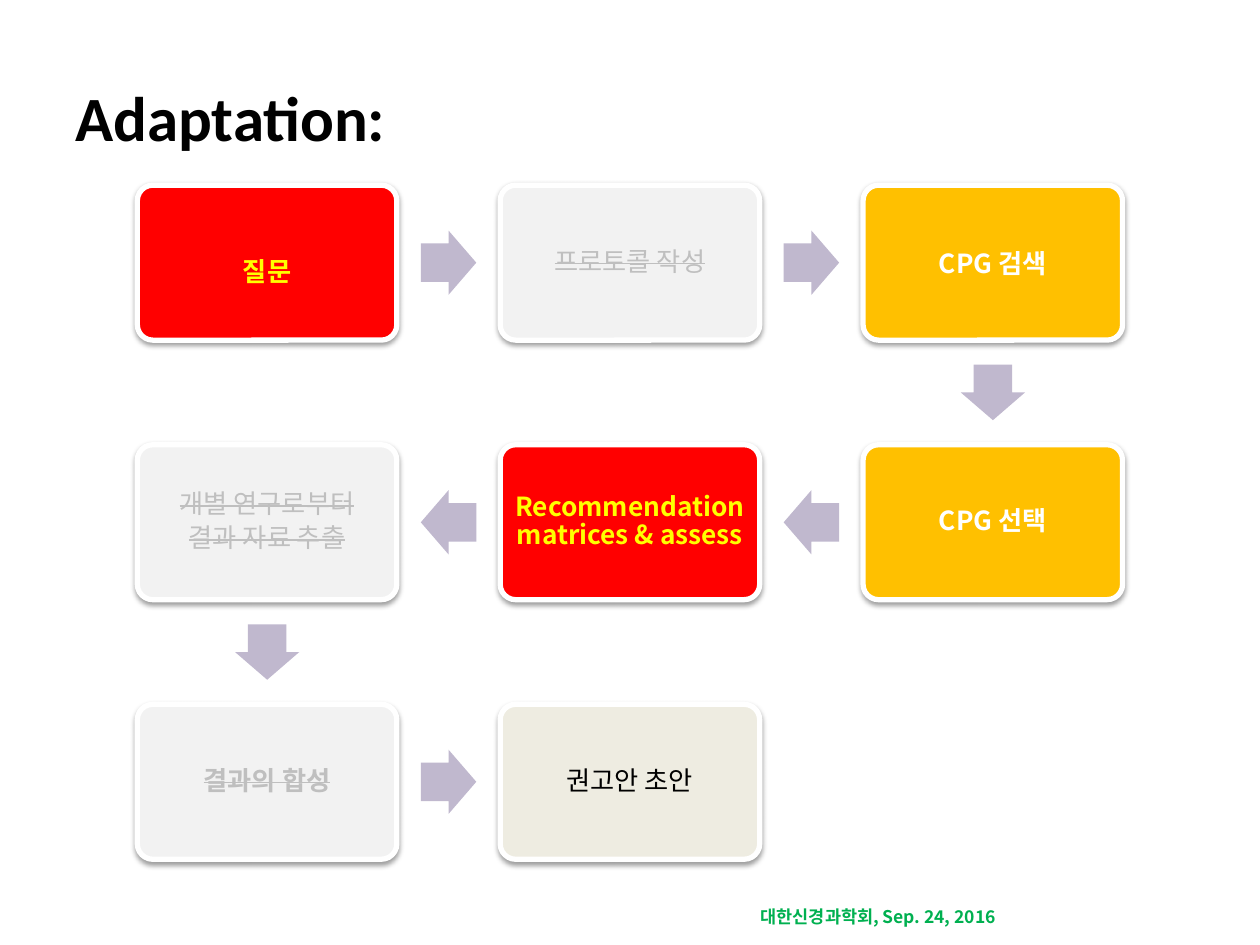
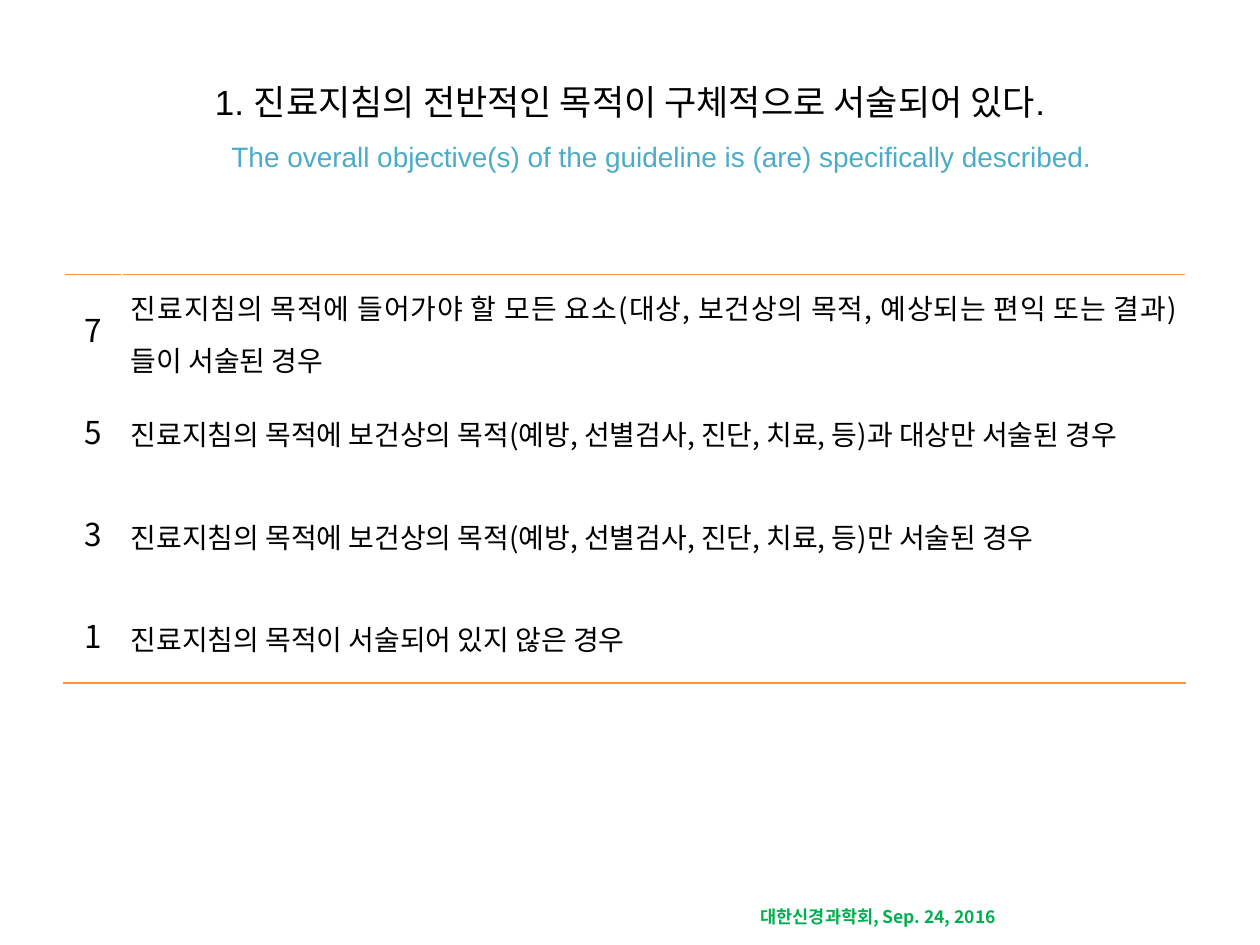
from lxml import etree
from pptx import Presentation
from pptx.dml.color import RGBColor
from pptx.enum.shapes import MSO_SHAPE as Shape
from pptx.enum.text import MSO_ANCHOR as Anchor, PP_ALIGN as Align
from pptx.oxml import parse_xml
from pptx.oxml.ns import nsdecls, qn
from pptx.util import Inches, Pt

COLORS = {
    "black": "000000", "white": "FFFFFF", "green": "00B050", "red": "FF0000",
    "yellow": "FFFF00", "gold": "FFC000", "pale": "F2F2F2", "gray": "BFBFBF",
    "cream": "EEECE1", "lilac": "C0B8CE", "teal": "4BACC6", "orange": "F79646",
}
KOREAN_FONT = "Noto Sans CJK KR"
FOOTER = "대한신경과학회, Sep. 24, 2016"
FOOTER_AREA = (5.94, 7.14, 2.44, 0.27)
TITLE_AREA = (0.5, 0.3, 9, 1.25)

FLOW_TITLE = "Adaptation:"
STYLES = {
    "key": {"fill": "red", "color": "yellow", "bold": True},
    "guideline": {"fill": "gold", "color": "white", "bold": True},
    "skipped": {"fill": "pale", "color": "gray", "strike": True},
    "draft": {"fill": "cream", "color": "black"},
}
# (column, row), lines, style, format that differs from the style
STEPS = [
    ((0, 0), ["질문"], "key", {"line_spacing": 1.5}),
    ((1, 0), ["프로토콜 작성"], "skipped", {}),
    ((2, 0), ["CPG 검색"], "guideline", {"line_spacing": 1, "space_after": 0}),
    ((2, 1), ["CPG 선택"], "guideline", {}),
    ((1, 1), ["Recommendation matrices & assess"], "key", {}),
    ((0, 1), ["개별 연구로부터", "결과 자료 추출"], "skipped", {}),
    ((0, 2), ["결과의 합성"], "skipped", {"bold": True}),
    ((1, 2), ["권고안 초안"], "draft", {}),
]
BOX_LEFT, BOX_TOP, BOX_WIDTH, BOX_HEIGHT = 1.09, 1.47, 2.06, 1.23
COLUMN_PITCH, ROW_PITCH = 2.88, 2.06
ARROW_WIDTH, ARROW_HEIGHT = 0.44, 0.51
ROTATIONS = {(1, 0): 0, (0, 1): 90, (-1, 0): 180}

ITEM_TITLE = "1. 진료지침의 전반적인 목적이 구체적으로 서술되어 있다."
ITEM_SUBTITLE = "The overall objective(s) of the guideline is (are) specifically described."
SCORES = [
    ("7", "진료지침의 목적에 들어가야 할 모든 요소(대상, 보건상의 목적, 예상되는 편익 또는 결과)들이 서술된 경우"),
    ("5", "진료지침의 목적에 보건상의 목적(예방, 선별검사, 진단, 치료, 등)과 대상만 서술된 경우"),
    ("3", "진료지침의 목적에 보건상의 목적(예방, 선별검사, 진단, 치료, 등)만 서술된 경우"),
    ("1", "진료지침의 목적이 서술되어 있지 않은 경우"),
]
SCORE_COLUMNS = (0.46, 8.44)
SCORE_ROW_HEIGHT = 0.81


def rgb(name):
    return RGBColor.from_string(COLORS[name])


def add_run(paragraph, text, size, font=KOREAN_FONT, color="black", bold=False, strike=False):
    run = paragraph.add_run()
    run.text = text
    run.font.size = Pt(size)
    run.font.name = font
    run.font.bold = bold
    run.font.color.rgb = rgb(color)
    properties = run.font._element
    etree.SubElement(properties, qn("a:ea")).set("typeface", KOREAN_FONT)
    if strike:
        properties.set("strike", "sngStrike")


def write_text(frame, lines, align=Align.LEFT, line_spacing=1, space_before=0,
               space_after=0, **run_format):
    """Write one paragraph per line and return the last paragraph."""
    frame.word_wrap = True
    for index, line in enumerate(lines):
        paragraph = frame.add_paragraph() if index else frame.paragraphs[0]
        paragraph.alignment = align
        paragraph.line_spacing = line_spacing
        paragraph.space_before = Pt(space_before)
        paragraph.space_after = Pt(space_after)
        add_run(paragraph, line, **run_format)
    return paragraph


def add_text(slide, area, text, anchor=Anchor.TOP, **text_format):
    frame = slide.shapes.add_textbox(*map(Inches, area)).text_frame
    frame.vertical_anchor = anchor
    return write_text(frame, [text], **text_format)


def add_slide(presentation):
    slide = presentation.slides.add_slide(presentation.slide_layouts[6])
    add_text(slide, FOOTER_AREA, FOOTER, size=10, color="green", bold=True)
    return slide


def add_filled_shape(slide, kind, area, fill, adjustments):
    shape = slide.shapes.add_shape(kind, *map(Inches, area))
    shape.shadow.inherit = False
    shape.fill.solid()
    shape.fill.fore_color.rgb = rgb(fill)
    shape.line.fill.background()
    for index, value in enumerate(adjustments):
        shape.adjustments[index] = value
    return shape


def add_step(slide, cell, lines, style, extra):
    column, row = cell
    area = (BOX_LEFT + column * COLUMN_PITCH, BOX_TOP + row * ROW_PITCH, BOX_WIDTH, BOX_HEIGHT)
    text_format = {"line_spacing": 0.9, "space_after": 3, **STYLES[style], **extra}
    box = add_filled_shape(slide, Shape.ROUNDED_RECTANGLE, area, text_format.pop("fill"), [0.1])
    box.line.color.rgb = rgb("white")
    box.line.width = Pt(3)
    effects = box._element.spPr.find(qn("a:effectLst"))
    effects.append(parse_xml(
        f'<a:outerShdw {nsdecls("a")} blurRad="{Pt(3.1)}" dist="{Pt(1.6)}" dir="5400000" '
        f'rotWithShape="0"><a:srgbClr val="{COLORS["black"]}"><a:alpha val="38000"/>'
        '</a:srgbClr></a:outerShdw>'))
    frame = box.text_frame
    frame.vertical_anchor = Anchor.MIDDLE
    frame.margin_left = frame.margin_right = Inches(0.02)
    frame.margin_top = frame.margin_bottom = Inches(0.02)
    write_text(frame, lines, align=Align.CENTER, size=15, **text_format)


def add_step_arrow(slide, start, end):
    """Point an arrow from one grid cell to the next, midway between them."""
    center_x = BOX_LEFT + BOX_WIDTH / 2 + (start[0] + end[0]) / 2 * COLUMN_PITCH
    center_y = BOX_TOP + BOX_HEIGHT / 2 + (start[1] + end[1]) / 2 * ROW_PITCH
    area = (center_x - ARROW_WIDTH / 2, center_y - ARROW_HEIGHT / 2, ARROW_WIDTH, ARROW_HEIGHT)
    arrow = add_filled_shape(slide, Shape.RIGHT_ARROW, area, "lilac", [0.6, 0.5])
    arrow.rotation = ROTATIONS[end[0] - start[0], end[1] - start[1]]


def build_flow_slide(presentation):
    slide = add_slide(presentation)
    add_text(slide, TITLE_AREA, FLOW_TITLE, anchor=Anchor.MIDDLE,
             size=36, font="Calibri", bold=True)
    for step in STEPS:
        add_step(slide, *step)
    for step, following in zip(STEPS, STEPS[1:]):
        add_step_arrow(slide, step[0], following[0])


def add_border(cell, side):
    cell._tc.get_or_add_tcPr().insert(0, parse_xml(
        f'<a:{side} {nsdecls("a")} w="{Pt(1)}"><a:solidFill>'
        f'<a:srgbClr val="{COLORS["orange"]}"/></a:solidFill></a:{side}>'))


def build_score_slide(presentation):
    slide = add_slide(presentation)
    title = add_text(slide, TITLE_AREA, ITEM_TITLE, anchor=Anchor.MIDDLE,
                     align=Align.CENTER, line_spacing=1.5, size=20, font="Arial")
    title.add_line_break()
    add_run(title, ITEM_SUBTITLE, size=16, font="Arial", color="teal")
    properties = title._p.get_or_add_pPr()
    properties.set("marL", str(Inches(0.5)))
    properties.set("indent", str(-Inches(0.5)))

    area = (0.51, 2.18, sum(SCORE_COLUMNS), SCORE_ROW_HEIGHT * len(SCORES))
    table = slide.shapes.add_table(len(SCORES), 2, *map(Inches, area)).table
    table.first_row = table.horz_banding = False
    for column, width in zip(table.columns, SCORE_COLUMNS):
        column.width = Inches(width)
    formats = (
        {"align": Align.CENTER, "line_spacing": 1.15, "space_before": 8, "space_after": 8, "size": 18},
        {"align": Align.JUSTIFY, "line_spacing": 1.3, "size": 16},
    )
    for row, texts in enumerate(SCORES):
        for column, text in enumerate(texts):
            cell = table.cell(row, column)
            cell.fill.background()
            cell.vertical_anchor = Anchor.MIDDLE
            cell.margin_left = cell.margin_right = Inches(0.07)
            cell.margin_top = cell.margin_bottom = 0
            write_text(cell.text_frame, [text], **formats[column])
            if row == 0:
                add_border(cell, "lnT")
            if row == len(SCORES) - 1:
                add_border(cell, "lnB")


def main():
    presentation = Presentation()
    presentation.slide_width = Inches(10)
    presentation.slide_height = Inches(7.5)
    build_flow_slide(presentation)
    build_score_slide(presentation)
    presentation.save("out.pptx")


if __name__ == "__main__":
    main()
